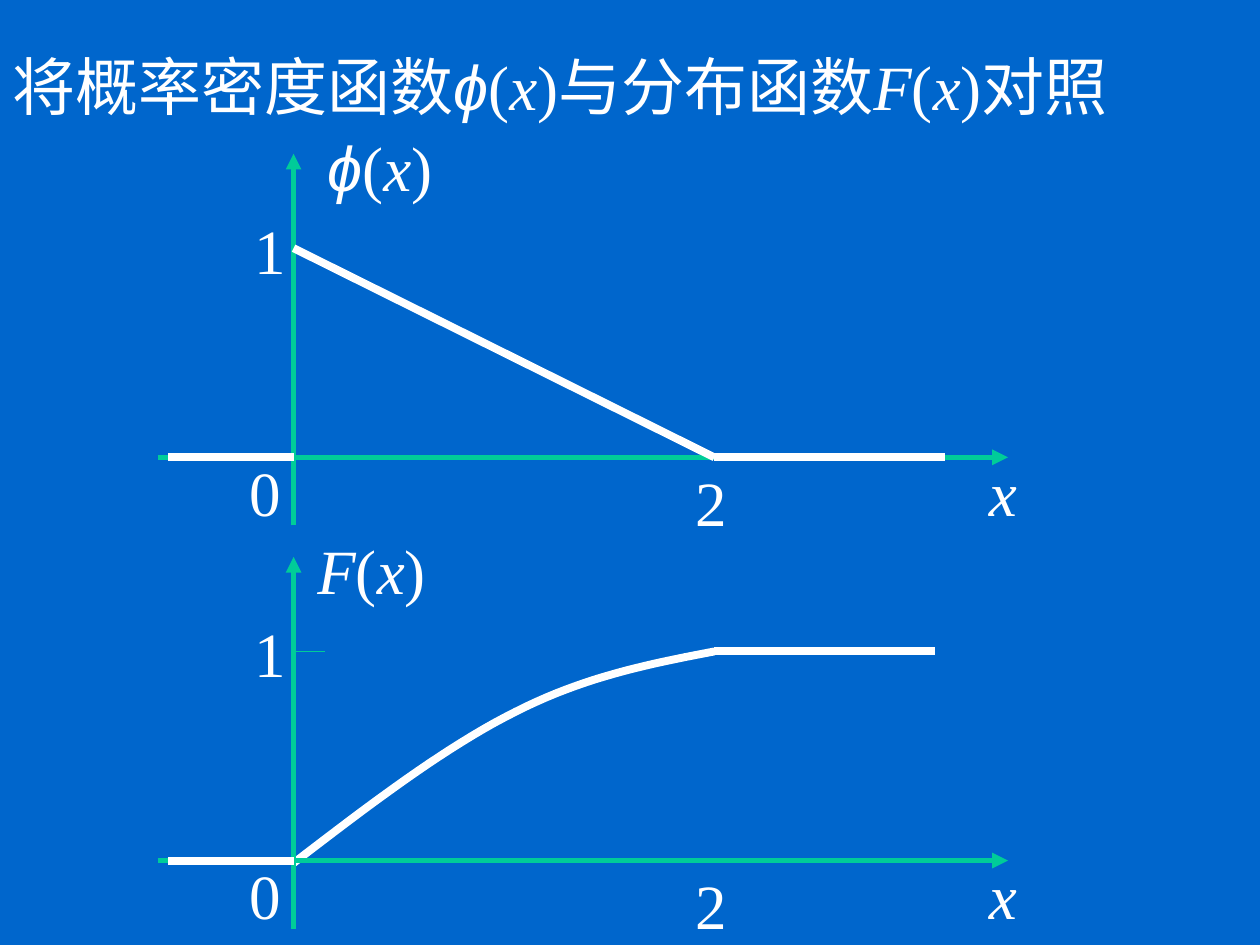
import lxml.etree
import pptx
import pptx.dml.color
import pptx.enum.text
import pptx.oxml.ns
import pptx.util

BACKGROUND, AXIS, CURVE = "0066CC", "00CC99", "FFFFFF"
WIDTH, HEIGHT = 10, 7.5
ORIGIN_X, TWO_X = 2.33, 5.67      # positions of x = 0 and x = 2
UNIT_Y = 1.66                     # height of y = 1 above the axis
DENSITY_Y, DISTRIBUTION_Y = 3.63, 6.83
SYMBOLS = ("ϕ", "x", "F")
inches = pptx.util.Inches


def color(code):
    return pptx.dml.color.RGBColor.from_string(code)


def add_line(shapes, start, end, code, points, arrow=False):
    line = shapes.add_connector(1, *(inches(v) for v in (*start, *end)))
    line.line.color.rgb = color(code)
    line.line.width = pptx.util.Pt(points)
    if arrow:
        tail = lxml.etree.SubElement(line.line._get_or_add_ln(), pptx.oxml.ns.qn("a:tailEnd"))
        tail.set("type", "triangle")
    properties = line._element.spPr
    lxml.etree.SubElement(properties, pptx.oxml.ns.qn("a:effectLst"))


def add_text(shapes, left, top, width, pieces, wrap=False):
    """Add a text box; mathematical symbols among the pieces become italic."""
    box = shapes.add_textbox(*(inches(v) for v in (left, top, width, 0.7)))
    frame = box.text_frame
    frame.word_wrap = wrap
    frame.auto_size = pptx.enum.text.MSO_AUTO_SIZE.SHAPE_TO_FIT_TEXT
    para = frame.paragraphs[0]
    for piece in pieces:
        span = para.add_run()
        span.text = piece
        span.font.size = pptx.util.Pt(36)
        span.font.name = "Arial" if piece == "ϕ" else "Times New Roman"
        span.font.italic = piece in SYMBOLS
        span.font.color.rgb = color(CURVE)


def bezier(p0, p1, p2, p3, steps=20):
    """Points along a cubic curve, without its start."""
    for step in range(1, steps + 1):
        t = step / steps
        weights = ((1 - t) ** 3, 3 * t * (1 - t) ** 2, 3 * t ** 2 * (1 - t), t ** 3)
        yield tuple(sum(w * p[i] for w, p in zip(weights, (p0, p1, p2, p3))) for i in (0, 1))


def add_curve(shapes, start, *segments):
    """Draw joined cubic curves, each given by two controls and an end."""
    points, here = [], start
    for segment in segments:
        points += bezier(here, *segment)
        here = segment[-1]
    builder = shapes.build_freeform(*(inches(v) for v in start), scale=1.0)
    builder.add_line_segments([(inches(x), inches(y)) for x, y in points], close=False)
    curve = builder.convert_to_shape()
    curve.shadow.inherit = False
    curve.fill.background()
    curve.line.color.rgb = color(CURVE)
    curve.line.width = pptx.util.Pt(4.5)


def add_axes(shapes, base):
    """Axes, the flat zero part left of the origin, and the axis labels."""
    add_line(shapes, (1.25, base), (8, base), AXIS, 3, arrow=True)
    add_line(shapes, (ORIGIN_X, base + 0.54), (ORIGIN_X, base - 2.41), AXIS, 3, arrow=True)
    add_line(shapes, (ORIGIN_X, base), (1.33, base), CURVE, 4.5)
    add_text(shapes, 1.92, base - 2, 0.45, ["1"])
    add_text(shapes, 5.42, base, 0.45, ["2"])
    add_text(shapes, 1.88, base - 0.08, 0.45, ["0"])
    add_text(shapes, 7.75, base - 0.08, 0.42, ["x"])


def add_density(shapes):
    base = DENSITY_Y
    add_axes(shapes, base)
    add_line(shapes, (ORIGIN_X, base - UNIT_Y), (TWO_X, base), CURVE, 4.5)
    add_line(shapes, (TWO_X, base), (7.5, base), CURVE, 4.5)
    add_text(shapes, 2.5, 0.97, 1.06, ["ϕ", "(", "x", ")"])


def add_distribution(shapes):
    base = DISTRIBUTION_Y
    top = base - UNIT_Y
    add_curve(shapes, (ORIGIN_X, 6.85),
              ((2.93, 6.39), (3.53, 5.93), (4.09, 5.65)),
              ((4.64, 5.37), (5.15, 5.27), (TWO_X, top)))
    add_axes(shapes, base)
    add_line(shapes, (TWO_X, top), (7.42, top), CURVE, 4.5)
    add_line(shapes, (ORIGIN_X, top), (2.58, top), AXIS, 0.75)
    add_text(shapes, 2.42, 4.17, 1.06, ["F", "(", "x", ")"])


def main():
    deck = pptx.Presentation()
    deck.slide_width, deck.slide_height = inches(WIDTH), inches(HEIGHT)
    page = deck.slides.add_slide(deck.slide_layouts[6])
    page.background.fill.solid()
    page.background.fill.fore_color.rgb = color(BACKGROUND)
    for add_graph in (add_density, add_distribution):
        add_graph(page.shapes.add_group_shape().shapes)
    title = ["将概率密度函数", "ϕ", "(", "x", ")与分布函数", "F", "(", "x", ")对照"]
    add_text(page.shapes, 0, 0.33, 9.17, title, wrap=True)
    deck.save("out.pptx")


if __name__ == "__main__":
    main()
